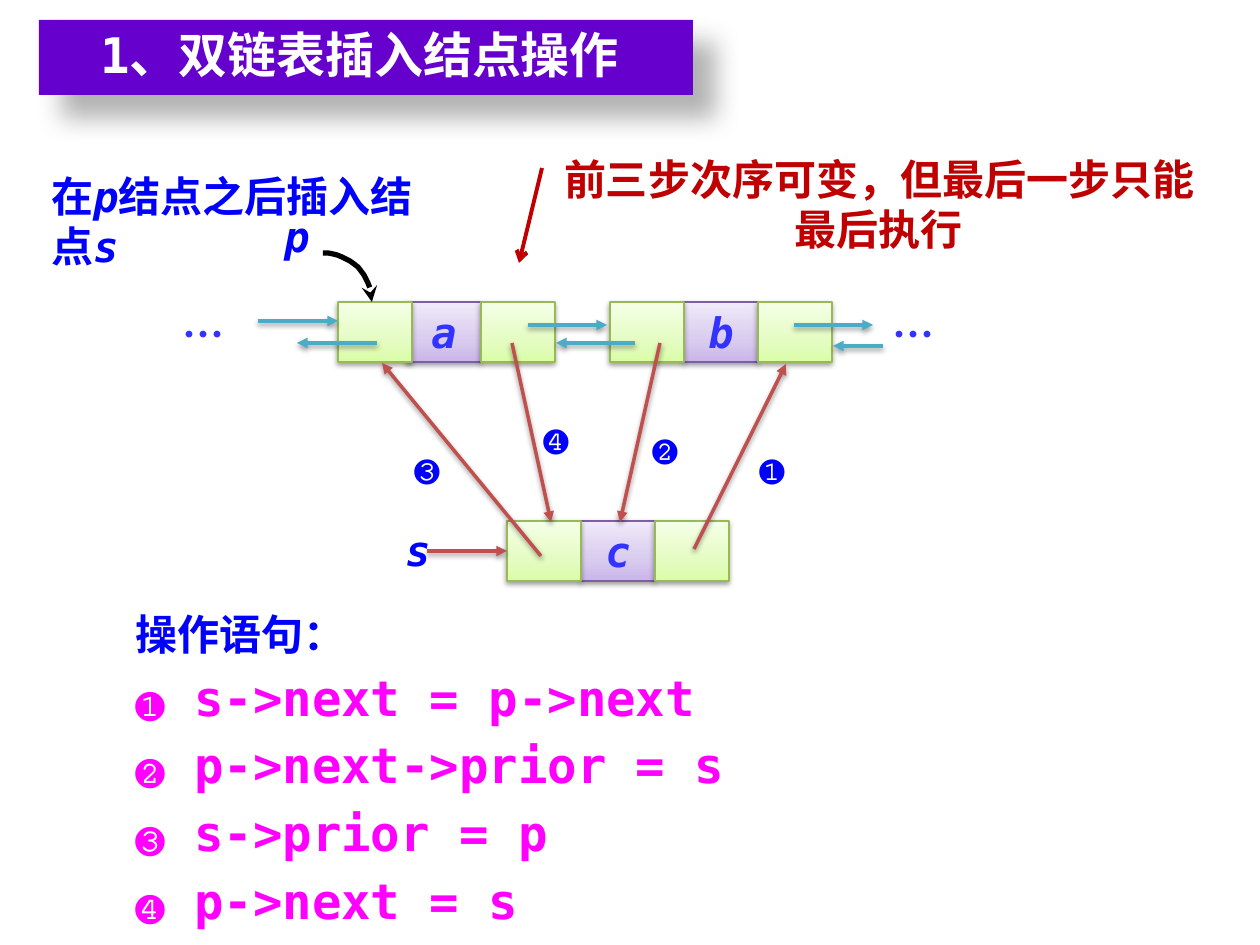
from copy import deepcopy
from math import cos, pi, sin

from lxml import etree
from pptx import Presentation
from pptx import util as u
from pptx.dml.color import RGBColor
from pptx.enum import shapes, text
from pptx.oxml.ns import qn

PX = 914400 / 126
MONO, CJK = "DejaVu Sans Mono", "Noto Sans CJK SC"
COLORS = {
    "title": "6600CC", "white": "FFFFFF", "black": "000000", "blue": "0000FF",
    "data": "3333FF", "code": "FF00FF", "note": "C00000",
    "old_link": "4BACC6", "new_link": "C0504D",
    "pointer_edge": "98B955", "data_edge": "7D60A0",
}
RGB = {name: RGBColor.from_string(value) for name, value in COLORS.items()}
POINTER_STOPS = [(0, "DAFDA7"), (0.35, "E4FCC2"), (1, "F5FFE7")]
DATA_STOPS = [(0, "C9B5E8"), (0.35, "D8CBEE"), (1, "F0EAF9")]
SOFT_SHADOW = (3.1, 1.6, 90, 38)
DEEP_SHADOW = (15, 18, 45, 30)
CENTER = text.PP_ALIGN.CENTER


def write(paragraph, words, color, size=24, italic=None, font=MONO, align=None):
    paragraph.text = words
    paragraph.alignment = align
    paragraph.font.name = font
    paragraph.font.size = u.Pt(size)
    paragraph.font.bold = True
    paragraph.font.italic = italic
    paragraph.font.color.rgb = RGB[color]


def add_effects(shape, shadow=None, head=None):
    """Add a shadow (blur pt, distance pt, angle, opacity %) and an end arrowhead."""
    properties = shape._element.spPr
    for old in properties.findall(qn("a:effectLst")):
        properties.remove(old)
    if head:
        etree.SubElement(properties.find(qn("a:ln")), qn("a:tailEnd"), type=head)
    effects = etree.SubElement(properties, qn("a:effectLst"))
    if shadow:
        blur, distance, angle, opacity = shadow
        outer = etree.SubElement(
            effects, qn("a:outerShdw"), blurRad=str(u.Pt(blur)), dist=str(u.Pt(distance)),
            dir=str(angle * 60000), algn="tl", rotWithShape="0")
        shade = etree.SubElement(outer, qn("a:srgbClr"), val=COLORS["black"])
        etree.SubElement(shade, qn("a:alpha"), val=str(opacity * 1000))


prs = Presentation()
prs.slide_width, prs.slide_height = u.Inches(10), u.Inches(7.5)
canvas = prs.slides.add_slide(prs.slide_layouts[6]).shapes

# Title bar
title = canvas.add_shape(shapes.MSO_SHAPE.RECTANGLE, *(round(v * PX) for v in (39, 20, 654, 75)))
title.fill.solid()
title.fill.fore_color.rgb = RGB["title"]
title.line.fill.background()
add_effects(title, DEEP_SHADOW)
frame = title.text_frame
frame.vertical_anchor = text.MSO_ANCHOR.TOP
frame.margin_left, frame.margin_top, frame.margin_right, frame.margin_bottom = (
    round(v * PX) for v in (10, 5, 23, 10))
write(frame.paragraphs[0], "1、双链表插入结点操作", "white", 28, align=CENTER)

# List nodes: prior pointer, data, next pointer
CELL_W, CELL_H = 74, 60
for letter, top, prior_x, data_x in [("a", 302, 338, 407), ("b", 302, 610, 684), ("c", 521, 507, 581)]:
    for x, part in [(data_x, "data"), (data_x + CELL_W, "pointer"), (prior_x, "pointer")]:
        cell = canvas.add_shape(
            shapes.MSO_SHAPE.RECTANGLE, *(round(v * PX) for v in (x, top, CELL_W, CELL_H)))
        cell.fill.gradient()
        cell.fill.gradient_angle = 90
        stop_list = cell._element.spPr.find(".//" + qn("a:gsLst"))
        stop_list.insert(1, deepcopy(stop_list[0]))
        stops = DATA_STOPS if part == "data" else POINTER_STOPS
        for stop, (position, shade) in zip(cell.fill.gradient_stops, stops):
            stop.position = position
            stop.color.rgb = RGBColor.from_string(shade)
        cell.line.color.rgb = RGB[part + "_edge"]
        cell.line.width = u.Pt(0.75)
        add_effects(cell, SOFT_SHADOW)
        if part == "data":
            cell.text_frame.word_wrap = False
            cell.text_frame.vertical_anchor = text.MSO_ANCHOR.MIDDLE
            write(cell.text_frame.paragraphs[0], letter, "data", italic=True, align=CENTER)

# Links between nodes
links = {
    "old_link": [
        (258, 321, 338, 321), (528, 325, 607, 325), (794, 325, 873, 325),
        (377, 343, 297, 343), (635, 343, 556, 343), (883, 346, 833, 346),
    ],
    "new_link": [
        (427, 551, 507, 551), (694, 549, 786, 364), (660, 343, 620, 522),
        (541, 556, 382, 363), (512, 343, 551, 522),
    ],
    "note": [(542, 168, 519, 263)],
}
for color, routes in links.items():
    for route in routes:
        link = canvas.add_connector(
            shapes.MSO_CONNECTOR.STRAIGHT, *(round(v * PX) for v in route))
        link.line.color.rgb = RGB[color]
        if color == "note":
            link.line.width = u.Pt(2.25)
            add_effects(link, head="arrow")
        else:
            link.line.width = u.Pt(2)
            add_effects(link, SOFT_SHADOW, "triangle")

# Quarter turn from p to node a
RADIUS, STEPS = 49, 16
turn = [(323 + RADIUS * sin(i * pi / 2 / STEPS), 302 - RADIUS * cos(i * pi / 2 / STEPS))
        for i in range(STEPS + 1)]
outline = canvas.build_freeform(*turn[0], scale=PX)
outline.add_line_segments(turn[1:], close=False)
p_arrow = outline.convert_to_shape()
p_arrow.fill.background()
p_arrow.line.color.rgb = RGB["black"]
p_arrow.line.width = u.Pt(3)
add_effects(p_arrow, head="stealth")

# Labels
ellipsis = dict(font=CJK, align=CENTER)
labels = [
    ("…", (164, 302, 79, 63), "data", ellipsis),
    ("…", (874, 302, 79, 63), "data", ellipsis),
    ("p", (272, 204, 59, 63), "blue", dict(italic=True)),
    ("s", (393, 518, 59, 63), "blue", dict(italic=True)),
    ("❶", (747, 432, 59, 64), "blue", {}),
    ("❷", (640, 412, 59, 64), "blue", {}),
    ("❸", (402, 432, 59, 64), "blue", {}),
    ("❹", (531, 402, 59, 64), "blue", {}),
    ("前三步次序可变，但最后一步只能最后执行", (542, 147, 674, 115), "note", dict(align=CENTER)),
]
for words, box, color, style in labels:
    label = canvas.add_textbox(*(round(v * PX) for v in box)).text_frame
    label.word_wrap = True
    write(label.paragraphs[0], words, color, **style)

# Task, with the node names in italics
task = canvas.add_textbox(*(round(v * PX) for v in (39, 164, 394, 115))).text_frame
task.word_wrap = True
write(task.paragraphs[0], "", "blue")
for words in ("在", "p", "结点之后插入结点", "s"):
    run = task.paragraphs[0].add_run()
    run.text = words
    run.font.italic = words in ("p", "s")

# Statements
code = canvas.add_textbox(*(round(v * PX) for v in (123, 602, 814, 336))).text_frame
code.word_wrap = True
write(code.paragraphs[0], "操作语句：", "blue")
for statement in ("❶ s->next = p->next", "❷ p->next->prior = s", "❸ s->prior = p", "❹ p->next = s"):
    line = code.add_paragraph()
    line.space_before = u.Pt(5)
    write(line, statement, "code", 28)

prs.save("out.pptx")
